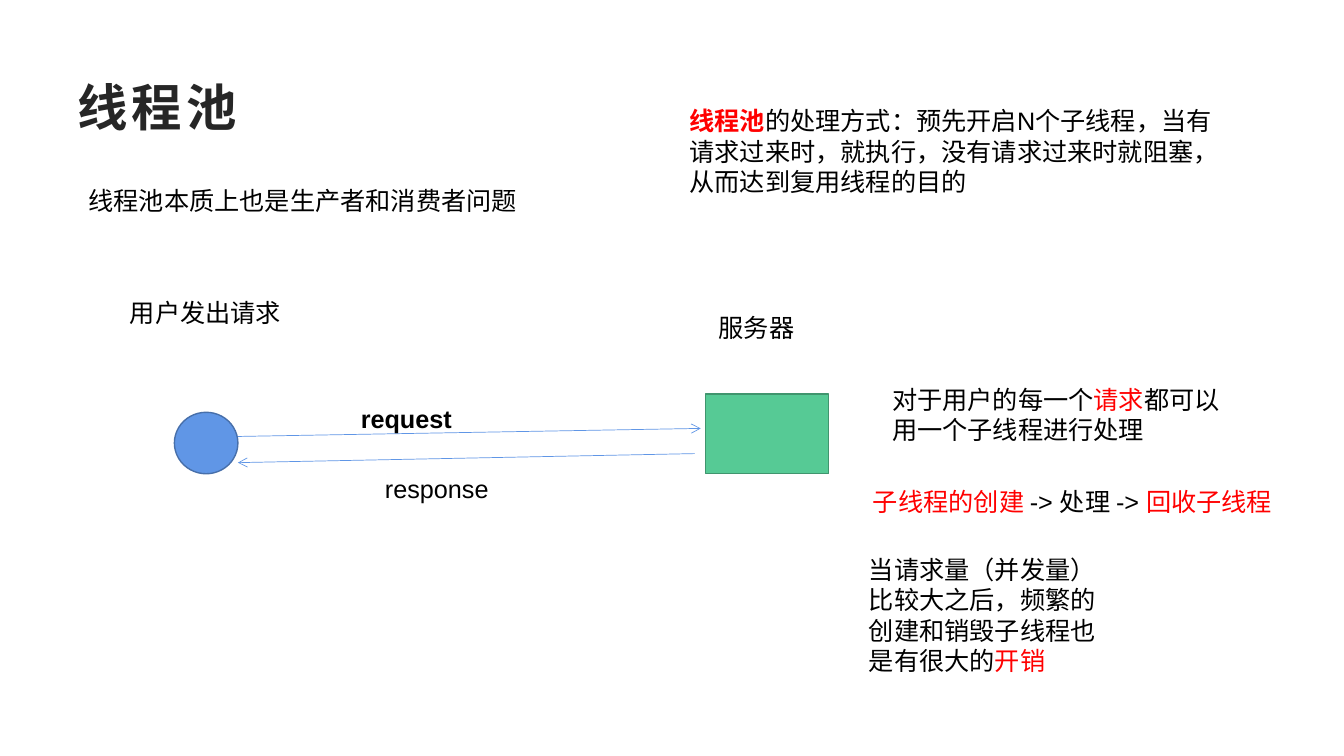
"""Build the thread pool slide."""
import dataclasses

import lxml.etree
import pptx
import pptx.dml.color
import pptx.enum.shapes
import pptx.enum.text
import pptx.oxml.ns
import pptx.shapes.autoshape
import pptx.slide
import pptx.util

PX = 9144
BLACK, RED, TITLE_GREY = "000000", "FF0000", "262626"
BLUE, BLUE_EDGE = "6096E6", "476FAA"
GREEN, GREEN_EDGE = "56CA95", "40956E"
SHAPE_KIND = pptx.enum.shapes.MSO_SHAPE
ANCHOR = pptx.enum.text.MSO_ANCHOR


@dataclasses.dataclass(frozen=True)
class Span:
    text: str
    color: str = BLACK
    bold: bool = False


@dataclasses.dataclass(frozen=True)
class Label:
    left: int
    top: int
    width: int
    height: int
    spans: tuple[Span, ...]


@dataclasses.dataclass(frozen=True)
class Node:
    kind: SHAPE_KIND
    left: int
    top: int
    width: int
    height: int
    fill: str
    edge: str


@dataclasses.dataclass(frozen=True)
class Arrow:
    start: tuple[int, int]
    end: tuple[int, int]


TITLE = Label(67, 67, 1200, 77, (Span("线程池", TITLE_GREY, True),))
LABELS = (
    Label(78, 179, 646, 40, (Span("线程池本质上也是生产者和消费者问题"),)),
    Label(119, 290, 243, 40, (Span("用户发出请求"),)),
    Label(703, 305, 116, 40, (Span("服务器"),)),
    Label(348, 395, 125, 40, (Span("request", bold=True),)),
    Label(372, 465, 147, 40, (Span("response"),)),
    Label(875, 376, 350, 71, (
        Span("对于用户的每一个"),
        Span("请求", RED),
        Span("都可以用一个子线程进行处理"),
    )),
    Label(856, 478, 431, 40, (
        Span("子线程的创建", RED),
        Span(" -> 处理 -> "),
        Span("回收子线程", RED),
    )),
    Label(852, 545, 267, 131, (
        Span("当请求量（并发量）比较大之后，频繁的创建和销毁子线程也是有很大的"),
        Span("开销", RED),
    )),
    Label(674, 100, 557, 101, (
        Span("线程池", RED, True),
        Span("的处理方式：预先开启N个子线程，当有请求过来时，就执行，"
             "没有请求过来时就阻塞，从而达到复用线程的目的"),
    )),
)
NODES = (
    Node(SHAPE_KIND.OVAL, 173, 409, 63, 61, BLUE, BLUE_EDGE),
    Node(SHAPE_KIND.RECTANGLE, 700, 391, 122, 79, GREEN, GREEN_EDGE),
)
ARROWS = (
    Arrow((236, 433), (695, 425)),
    Arrow((689, 450), (236, 459)),
)


def px(*lengths: int) -> list[pptx.util.Emu]:
    """Turn px lengths into EMU."""
    return [pptx.util.Emu(length * PX) for length in lengths]


def rgb(color: str) -> pptx.dml.color.RGBColor:
    """Turn a hex string into a colour."""
    return pptx.dml.color.RGBColor.from_string(color)


def add_span(para, text: str, *, size: int, color: str, bold: bool, spacing: int) -> None:
    """Add one formatted run, with letter spacing in points."""
    span = para.add_run()
    span.text = text
    span.font.name = "Arial"
    span.font.size = pptx.util.Pt(size)
    span.font.bold = bold
    span.font.color.rgb = rgb(color)
    if spacing:
        span._r.get_or_add_rPr().set("spc", str(spacing * 100))


def add_label(page: pptx.slide.Slide, label: Label, *, size: int = 18,
              spacing: int = 0, anchor: ANCHOR = ANCHOR.TOP, grow: bool = True) -> None:
    """Add a wrapping text box holding one paragraph."""
    box = page.shapes.add_textbox(*px(label.left, label.top, label.width, label.height))
    frame = box.text_frame
    frame.word_wrap = True
    frame.vertical_anchor = anchor
    if grow:
        frame.auto_size = pptx.enum.text.MSO_AUTO_SIZE.SHAPE_TO_FIT_TEXT
    for span in label.spans:
        add_span(frame.paragraphs[0], span.text, size=size, color=span.color,
                 bold=span.bold, spacing=spacing)


def add_node(page: pptx.slide.Slide, node: Node) -> None:
    """Add a filled and outlined shape."""
    shape = page.shapes.add_shape(
        node.kind, *px(node.left, node.top, node.width, node.height))
    shape.shadow.inherit = False
    shape.fill.solid()
    shape.fill.fore_color.rgb = rgb(node.fill)
    shape.line.color.rgb = rgb(node.edge)
    shape.line.width = pptx.util.Pt(1)


def add_arrow(page: pptx.slide.Slide, arrow: Arrow) -> None:
    """Add a thin line with an open arrowhead at its end."""
    connector = page.shapes.add_connector(
        pptx.enum.shapes.MSO_CONNECTOR.STRAIGHT, *px(*arrow.start, *arrow.end))
    connector.line.color.rgb = rgb(BLUE)
    connector.line.width = pptx.util.Pt(0.5)
    qualify = pptx.oxml.ns.qn
    properties = connector._element.spPr
    outline = properties.find(qualify("a:ln"))
    lxml.etree.SubElement(outline, qualify("a:tailEnd")).set("type", "arrow")
    lxml.etree.SubElement(properties, qualify("a:effectLst"))


def main() -> None:
    """Build and save the deck."""
    deck = pptx.Presentation()
    deck.slide_width, deck.slide_height = px(1333, 750)
    page = deck.slides.add_slide(deck.slide_layouts[6])
    add_label(page, TITLE, size=36, spacing=3, anchor=ANCHOR.MIDDLE, grow=False)
    for node in NODES:
        add_node(page, node)
    for arrow in ARROWS:
        add_arrow(page, arrow)
    for label in LABELS:
        add_label(page, label)
    deck.save("out.pptx")


if __name__ == "__main__":
    main()
